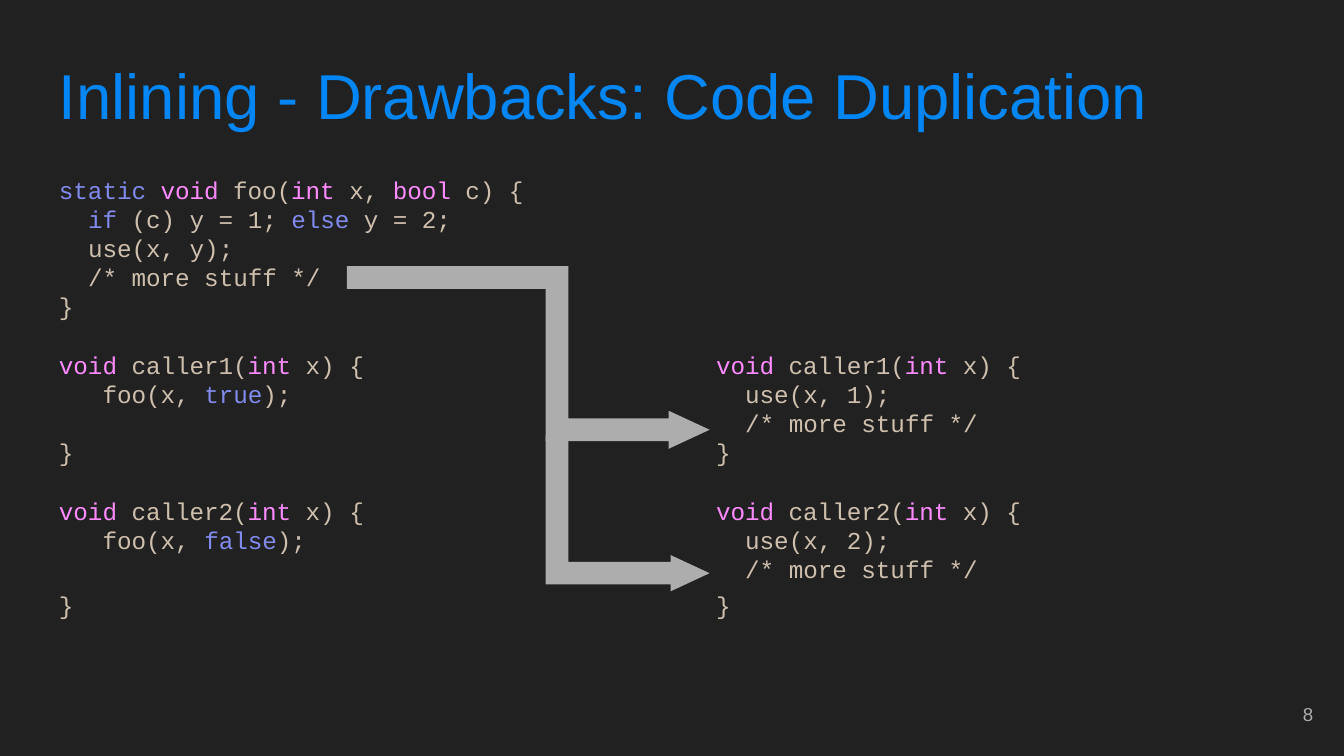
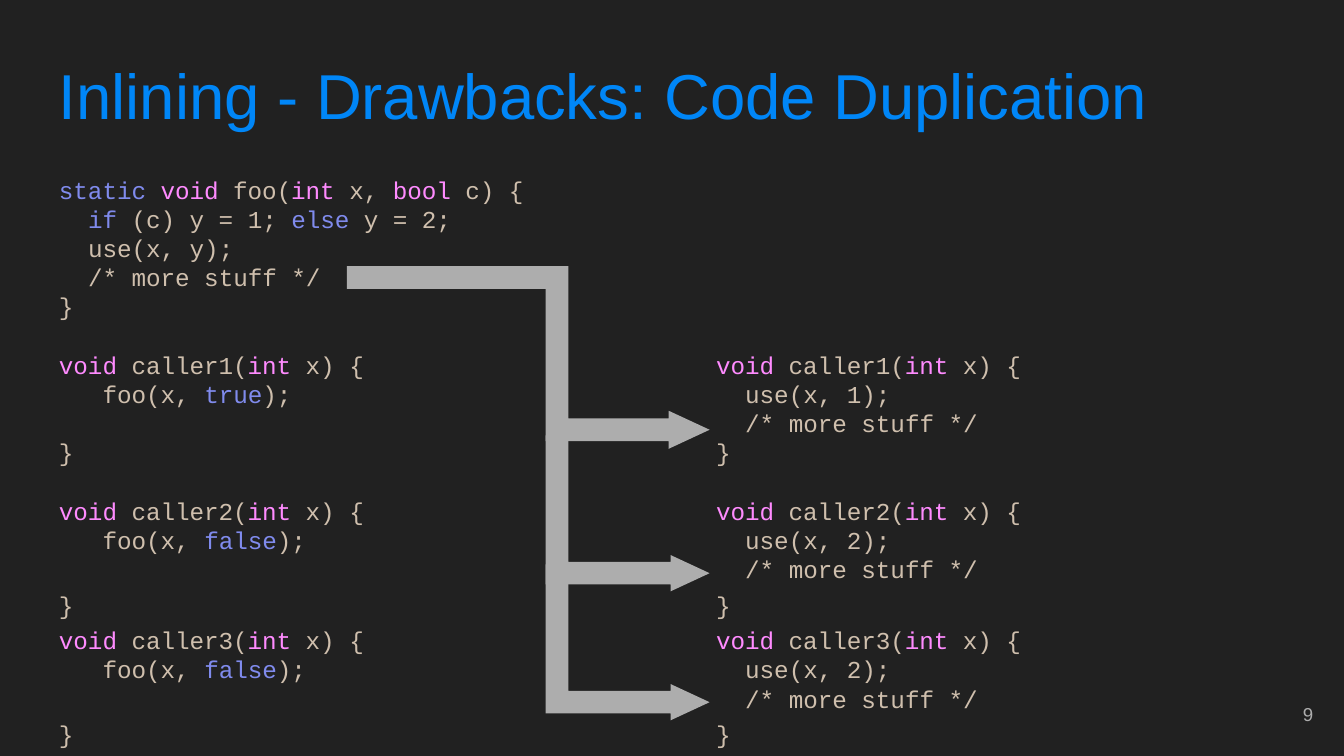
"""Builds two slides on code duplication caused by inlining."""
import itertools

import pptx
import pptx.dml.color
import pptx.enum.shapes
import pptx.enum.text
import pptx.util

Inches = pptx.util.Inches
Pt = pptx.util.Pt
SHAPE = pptx.enum.shapes.MSO_SHAPE
ALIGN = pptx.enum.text.PP_ALIGN
ANCHOR = pptx.enum.text.MSO_ANCHOR

COLORS = {
    "background": "212121",
    "title": "0086F7",
    "keyword": "808BED",
    "type": "FF8BFF",
    "code": "CFBFAD",
    "gray": "ADADAD",
}
WORDS = dict.fromkeys(("static", "if", "else", "true", "false"), "keyword")
WORDS.update(dict.fromkeys(("void", "int", "bool"), "type"))
CODE_SIZE = 13
CHAR_WIDTH = 0.6 * CODE_SIZE
LINE = 15.65
TALL_LINE = 18.95


class Deck:
    def __init__(self):
        self.prs = pptx.Presentation()
        self.prs.slide_width = Inches(10)
        self.prs.slide_height = Inches(5.625)
        self.s = None

    def color(self, name):
        return pptx.dml.color.RGBColor.from_string(COLORS[name])

    def slide(self, title, number):
        self.s = self.prs.slides.add_slide(self.prs.slide_layouts[6])
        fill = self.s.background.fill
        fill.solid()
        fill.fore_color.rgb = self.color("background")
        p = self.box(0.34, 0.32, 9.52, 0.91).paragraphs[0]
        self.run(p, title, 34, "title")
        tf = self.box(9.27, 5.1, 0.6, 0.43)
        tf.vertical_anchor = ANCHOR.MIDDLE
        tf.paragraphs[0].alignment = ALIGN.RIGHT
        self.run(tf.paragraphs[0], str(number), 10, "gray")

    def box(self, x, y, w, h, top=0.1):
        tf = self.s.shapes.add_textbox(Inches(x), Inches(y), Inches(w), Inches(h)).text_frame
        tf.word_wrap = True
        tf.margin_left = tf.margin_right = tf.margin_bottom = Inches(0.1)
        tf.margin_top = Inches(top)
        return tf

    def run(self, p, text, size, color, font="Arial"):
        r = p.add_run()
        r.text = text
        r.font.size = Pt(size)
        r.font.name = font
        r.font.color.rgb = self.color(color)

    def code(self, x, h, lines, skipped=0):
        tf = self.box(x, 1.2, 3.85, h, 0.1 + skipped * LINE / 72)
        for i, (text, indent, gap, tall) in enumerate(lines):
            p = tf.add_paragraph() if i else tf.paragraphs[0]
            p.line_spacing = Pt(TALL_LINE if tall else LINE)
            p.space_before = Pt(LINE if gap else 0)
            p._p.get_or_add_pPr().set("marL", str(Pt(indent * CHAR_WIDTH)))
            for color, part in self.highlight(text):
                self.run(p, part, CODE_SIZE, color, "Courier New")

    def highlight(self, text):
        tokens, color = [], "code"
        for _, chars in itertools.groupby(text, str.isalnum):
            token = "".join(chars)
            if token != " ":
                color = WORDS.get(token, "code")
            tokens.append((color, token))
        for color, group in itertools.groupby(tokens, lambda t: t[0]):
            yield color, "".join(t[1] for t in group)

    def shape(self, kind, x, y, w, h, adjustments=()):
        sp = self.s.shapes.add_shape(kind, Inches(x), Inches(y), Inches(w), Inches(h))
        sp.rotation = 90
        sp.shadow.inherit = False
        sp.fill.solid()
        sp.fill.fore_color.rgb = self.color("gray")
        sp.line.fill.background()
        for i, value in enumerate(adjustments):
            sp.adjustments[i] = value

    def arrow(self, x, y, w, shaft):
        self.shape(SHAPE.BENT_UP_ARROW, x, y, w, 1.22, (shaft, 0.116, 0.25))


FOO = [
    ("static void foo(int x, bool c) {", 0, False, False),
    ("if (c) y = 1; else y = 2;", 2, False, False),
    ("use(x, y);", 2, False, False),
    ("/* more stuff */", 2, False, False),
    ("}", 0, False, False),
]


def header(n):
    return (f"void caller{n}(int x) {{", 0, n < 3, n == 3)


def call(n):
    flag = "true" if n == 1 else "false"
    return [header(n), (f"foo(x, {flag});", 3, False, False), ("}", 0, True, n > 1)]


def inlined(n):
    head = header(n) if n > 1 else (header(n)[0], 0, False, False)
    return [
        head,
        (f"use(x, {min(n, 2)});", 2, False, False),
        ("/* more stuff */", 2, False, False),
        ("}", 0, False, n > 1),
    ]


def main():
    deck = Deck()
    for number, callers in ((8, 2), (9, 3)):
        deck.slide("Inlining - Drawbacks: Code Duplication", number)
        numbers = range(1, callers + 1)
        deck.code(0.34, 3.73, FOO + [line for n in numbers for line in call(n)])
        deck.code(5.23, 3.62, [line for n in numbers for line in inlined(n)], len(FOO) + 1)
        deck.shape(SHAPE.RECTANGLE, 3.3, 1.26, 0.17, 1.61)
        deck.arrow(3.99, 2.05, 1.36, 0.138)
        for i in range(callers - 1):
            deck.arrow(4.09, 3.21 + 0.96 * i, 1.16, 0.145)
    deck.prs.save("out.pptx")


if __name__ == "__main__":
    main()
